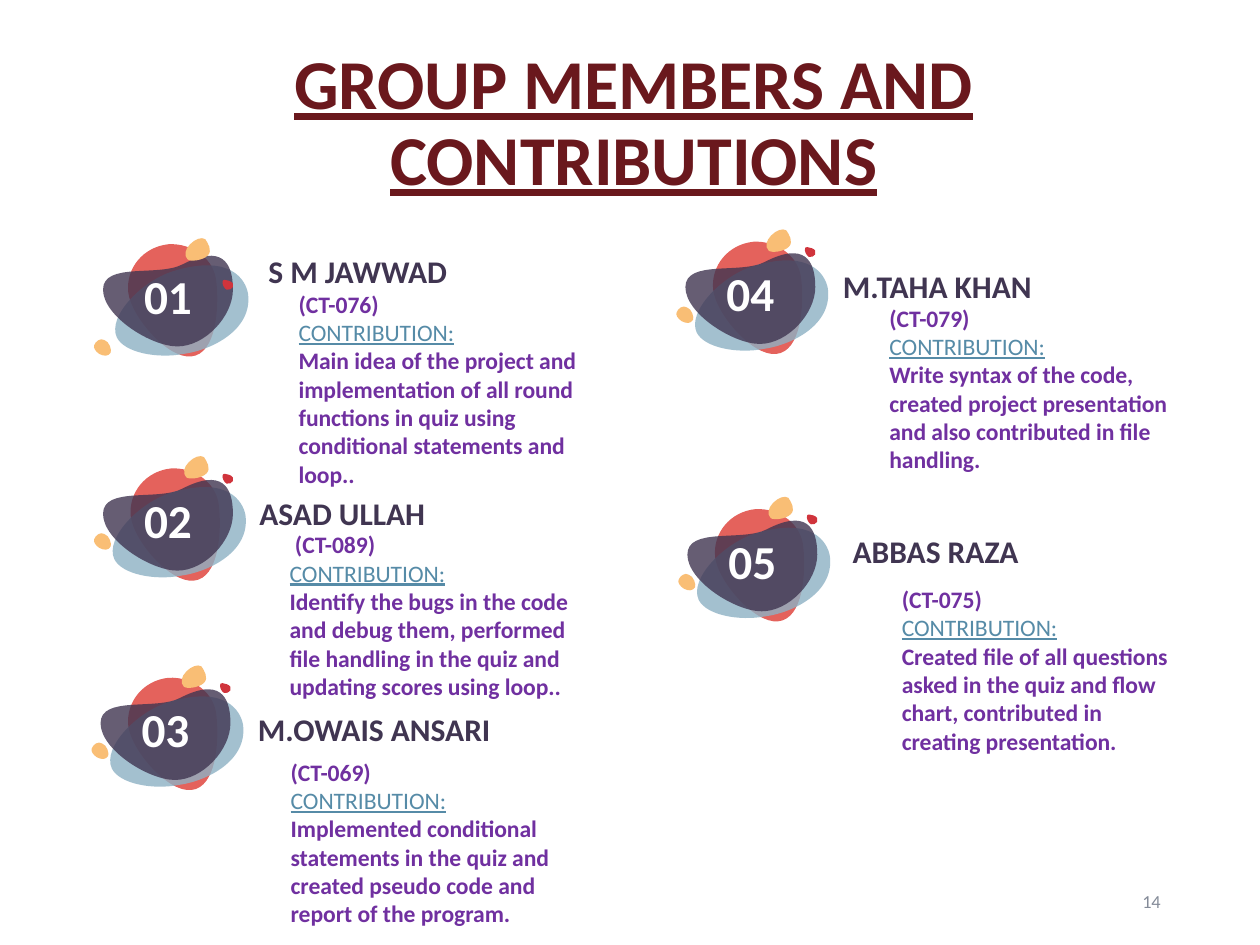
from dataclasses import dataclass

import lxml.etree
import pptx
import pptx.dml.color
import pptx.enum.text
import pptx.oxml.ns
import pptx.util

Cm, Pt = pptx.util.Cm, pptx.util.Pt
ALIGN = pptx.enum.text.PP_ALIGN
ANCHOR = pptx.enum.text.MSO_ANCHOR
FIT = pptx.enum.text.MSO_AUTO_SIZE
qn = pptx.oxml.ns.qn


@dataclass(frozen=True)
class Theme:
    font: str = "Calibri"
    title: str = "6A181D"
    dark: str = "403551"
    text: str = "7030A0"
    label: str = "568BA7"
    grey: str = "848B98"
    white: str = "FFFFFF"
    red: str = "E4625C"
    blue: str = "8DB1C4"
    gold: str = "F9BE75"
    dot: str = "D0343C"
    title_size: float = 40
    badge_size: float = 27
    name_size: float = 18
    text_size: float = 13.5
    page_size: float = 10.5


THEME = Theme()

# Badge outlines on a grid 120 units wide: colour, opacity, start, Bezier curves
GRID = 120
BADGE = 3.05
BLOBS = {
    "red": (THEME.red, 100, (29, 48), [
        (31, 67, 60, 101, 79, 99), (99, 97, 101, 60, 99, 41),
        (98, 22, 80, 9, 61, 10), (41, 12, 27, 29, 29, 48)]),
    "blue": (THEME.blue, 80, (16, 82), [
        (22, 94, 48, 99, 69, 95), (91, 92, 124, 76, 120, 47),
        (118, 36, 106, 16, 62, 29), (37, 36, 8, 65, 16, 82)]),
    "dark": (THEME.dark, 80, (7, 46), [
        (7, 67, 45, 91, 66, 91), (88, 91, 110, 67, 110, 46),
        (110, 24, 101, 10, 70, 26), (51, 36, 7, 24, 7, 46)]),
    "top": (THEME.gold, 100, (73, 17), [
        (75, 19, 85, 18, 89, 14), (93, 10, 89, 4, 87, 1),
        (84, -1, 79, 1, 75, 5), (71, 9, 70, 14, 73, 17)]),
    "side": (THEME.gold, 100, (13, 72), [
        (14, 70, 12, 63, 8, 62), (5, 60, 1, 63, 0, 66),
        (-1, 68, 1, 71, 4, 73), (8, 75, 11, 75, 13, 72)]),
    "dot": (THEME.dot, 100, (102, 15), [
        (101, 17, 103, 21, 105, 22), (107, 23, 109, 21, 110, 20),
        (111, 18, 110, 16, 107, 15), (105, 14, 102, 14, 102, 15)]),
}

# The first badge has its blobs spread a little differently
SHIFT = {"red": (-2, 0), "blue": (2, 2), "top": (1, 5), "side": (0, 24), "dot": (0, 24)}

# Number, box corner, name offset, body offset, body size, name, code, work
MEMBERS = [
    ("01", (1.9, 4.67), (3.26, 0.03), (3.87, 1.17), (6.17, 4.62), "S M JAWWAD", "(CT-076)",
     "Main idea of the project and implementation of all round functions in quiz "
     "using conditional statements and loop.."),
    ("02", (1.9, 9.19), (3.08, 0.39), (3.69, 1.5), (6.35, 3.5), "ASAD ULLAH", " (CT-089)",
     "Identify the bugs in the code and debug them, performed file handling in the quiz "
     "and updating scores using loop.."),
    ("03", (1.85, 13.41), (3.1, 0.53), (3.76, 1.86), (6.22, 3.45), "M.OWAIS ANSARI", "(CT-069)",
     "Implemented conditional statements in the quiz and created pseudo code and report "
     "of the program."),
    ("04", (13.64, 4.62), (3.1, 0.38), (4.04, 1.5), (6.22, 4.04), "M.TAHA KHAN", "(CT-079)",
     "Write syntax of the code, created project presentation and also contributed in "
     "file handling."),
    ("05", (13.68, 10.01), (3.26, 0.33), (4.25, 1.78), (6.22, 3.45), "ABBAS RAZA", "(CT-075)",
     "Created file of all questions asked in the quiz and flow chart, contributed in "
     "creating presentation."),
]


def rgb(code):
    return pptx.dml.color.RGBColor.from_string(code)


def style(para, size, color, bold=False, line=False, align=ALIGN.LEFT):
    font = para.font
    font.name, font.size, font.bold, font.underline = THEME.font, Pt(size), bold, line
    font.color.rgb = rgb(color)
    para.alignment = align


def pad(frame, side, top, base):
    frame.margin_left = frame.margin_right = Cm(side)
    frame.margin_top, frame.margin_bottom = Cm(top), Cm(base)


def add_text(slide, left, top, width, height, anchor, top_pad=0, base=0):
    box = slide.shapes.add_textbox(Cm(left), Cm(top), Cm(width), Cm(height))
    frame = box.text_frame
    frame.word_wrap = True
    frame.vertical_anchor = anchor
    pad(frame, 0.25, top_pad, base)
    return frame


def bend(blob):
    """Turn each three line segments of an outline into one Bezier curve."""
    lines = list(blob._element.spPr.iter(qn("a:lnTo")))
    for i in range(0, len(lines), 3):
        curve = lxml.etree.Element(qn("a:cubicBezTo"))
        lines[i].addprevious(curve)
        for line in lines[i:i + 3]:
            curve.append(line[0])
            line.getparent().remove(line)


def add_blob(group, points, color, alpha):
    pen = group.shapes.build_freeform(*points[0])
    pen.add_line_segments(points[1:], close=True)
    blob = pen.convert_to_shape()
    bend(blob)
    blob.shadow.inherit = False
    blob.line.fill.background()
    blob.fill.solid()
    blob.fill.fore_color.rgb = rgb(color)
    if alpha < 100:
        node = blob._element.spPr.find(".//" + qn("a:srgbClr"))
        lxml.etree.SubElement(node, qn("a:alpha"), val=str(alpha * 1000))
    return blob


def add_badge(slide, left, top, width, number, shift):
    group = slide.shapes.add_group_shape()
    unit = width / GRID
    for key, (color, alpha, start, curves) in BLOBS.items():
        dx, dy = shift.get(key, (0, 0))
        marks = [start] + [c[i:i + 2] for c in curves for i in (0, 2, 4)]
        points = [(Cm(left + (x + dx) * unit), Cm(top + (y + dy) * unit)) for x, y in marks]
        blob = add_blob(group, points, color, alpha)
        if key == "dark":
            frame = blob.text_frame
            frame.text = number
            frame.vertical_anchor = ANCHOR.MIDDLE
            pad(frame, 0.08, 0.08, 0.08)
            style(frame.paragraphs[0], THEME.badge_size, THEME.white, True, align=ALIGN.CENTER)


def add_member(slide, number, box, name_at, body_at, size, name, code, work):
    left, top = box
    add_badge(slide, left, top, BADGE, number, SHIFT if number == "01" else {})
    # Name
    frame = add_text(slide, left + name_at[0], top + name_at[1], 6.22, 1.14,
                     ANCHOR.BOTTOM, top_pad=0.38)
    frame.text = name
    style(frame.paragraphs[0], THEME.name_size, THEME.dark, True)
    # Code, label and work
    frame = add_text(slide, left + body_at[0], top + body_at[1], *size, ANCHOR.TOP)
    frame.text = "\n".join((code, "CONTRIBUTION:", work))
    for para in frame.paragraphs:
        style(para, THEME.text_size, THEME.text, True)
    style(frame.paragraphs[1], THEME.text_size, THEME.label, line=True)


def add_title(slide, left, top, width, height):
    title = slide.shapes.title
    title.left, title.top, title.width, title.height = map(Cm, (left, top, width, height))
    frame = title.text_frame
    frame.text = "GROUP MEMBERS AND CONTRIBUTIONS"
    frame.auto_size = FIT.NONE
    frame.vertical_anchor = ANCHOR.MIDDLE
    para = frame.paragraphs[0]
    style(para, THEME.title_size, THEME.title, True, True, ALIGN.CENTER)
    para.line_spacing = 0.9


def add_page(slide, left, top, width, height):
    frame = add_text(slide, left, top, width, height, ANCHOR.MIDDLE, 0.13, 0.13)
    frame.text = "14"
    style(frame.paragraphs[0], THEME.page_size, THEME.grey, align=ALIGN.RIGHT)


def main():
    deck = pptx.Presentation()
    deck.slide_width, deck.slide_height = Cm(25.4), Cm(19.05)
    slide = deck.slides.add_slide(deck.slide_layouts[5])
    add_title(slide, 1.83, 0.94, 21.89, 3.15)
    for member in MEMBERS:
        add_member(slide, *member)
    add_page(slide, 17.93, 17.65, 5.72, 1.02)
    deck.save("out.pptx")


if __name__ == "__main__":
    main()
